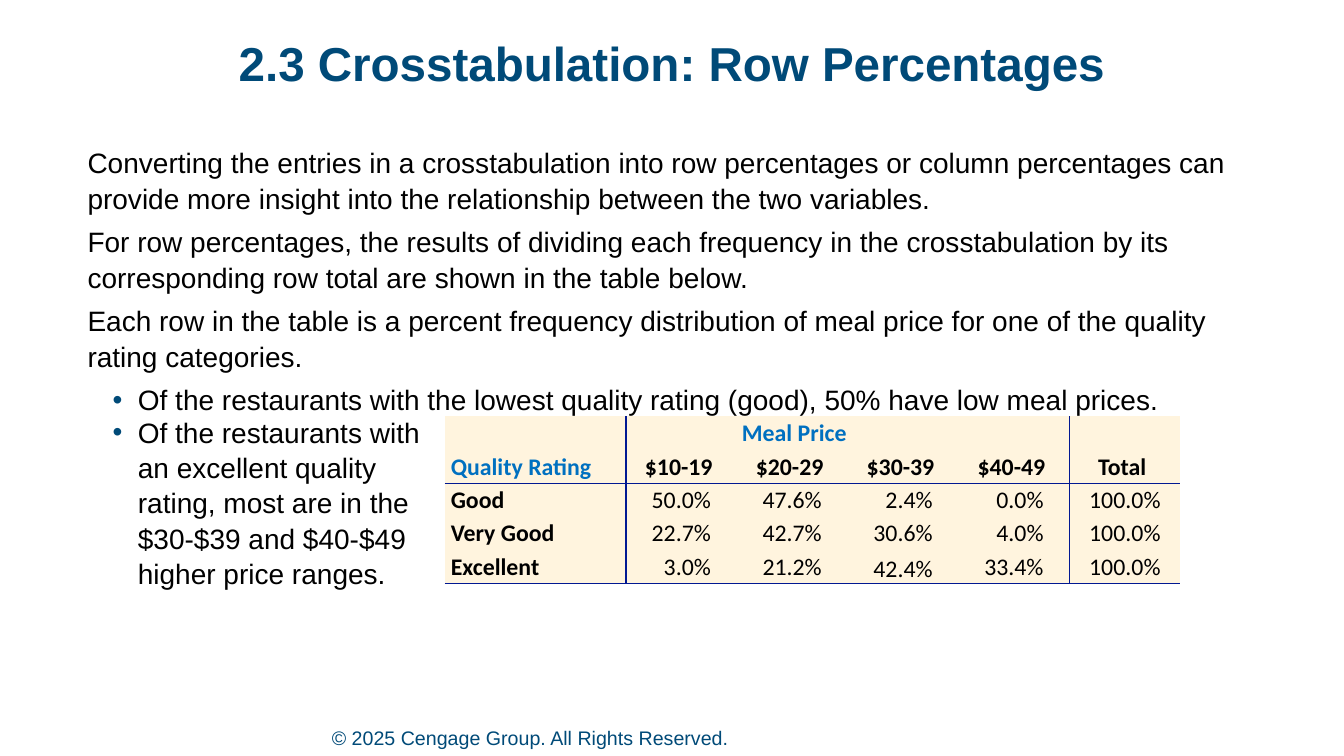
from pptx import Presentation
from pptx.dml.color import RGBColor
from pptx.enum.text import MSO_ANCHOR, MSO_AUTO_SIZE, PP_ALIGN
from pptx.oxml import parse_xml
from pptx.oxml.ns import nsdecls
from pptx.util import Pt

COLORS = {"navy": "004A78", "black": "000000", "blue": "0070C0",
          "cream": "FFF4DE", "rule": "011892"}

INTRODUCTION = [
    "Converting the entries in a crosstabulation into row percentages or column percentages can "
    "provide more insight into the relationship between the two variables.",
    "For row percentages, the results of dividing each frequency in the crosstabulation by its "
    "corresponding row total are shown in the table below.",
    "Each row in the table is a percent frequency distribution of meal price for one of the "
    "quality rating categories.",
]
LOW_PRICES = "Of the restaurants with the lowest quality rating (good), 50% have low meal prices."
HIGH_PRICES = ("Of the restaurants with an excellent quality rating, most are in the "
               "$30-$39 and $40-$49 higher price ranges.")
CROSSTAB = [
    ["", "", "Meal Price", "", "", ""],
    ["Quality Rating", "$10-19", "$20-29", "$30-39", "$40-49", "Total"],
    ["Good", "50.0%", "47.6%", "2.4%", "0.0%", "100.0%"],
    ["Very Good", "22.7%", "42.7%", "30.6%", "4.0%", "100.0%"],
    ["Excellent", "3.0%", "21.2%", "42.4%", "33.4%", "100.0%"],
]


class SlideBuilder:
    font = "Arial"
    table_font = "Calibri"

    def __init__(self, slide):
        self.slide = slide

    def add_run(self, paragraph, text, size, color, bold=False, font=None):
        run = paragraph.add_run()
        run.text = text
        run.font.name = font or self.font
        run.font.size = Pt(size)
        run.font.bold = bold
        run.font.color.rgb = RGBColor.from_string(COLORS[color])

    def prepare_frame(self, shape, box, anchor=MSO_ANCHOR.TOP):
        shape.left, shape.top, shape.width, shape.height = map(Pt, box)
        frame = shape.text_frame
        frame.word_wrap = True
        frame.auto_size = MSO_AUTO_SIZE.NONE
        frame.vertical_anchor = anchor
        frame.margin_left = frame.margin_top = frame.margin_right = frame.margin_bottom = 0
        return frame

    def title(self, text, box):
        paragraph = self.prepare_frame(self.slide.shapes.title, box).paragraphs[0]
        paragraph.alignment = PP_ALIGN.CENTER
        paragraph.line_spacing = 0.9
        self.add_run(paragraph, text, 34, "navy", bold=True)

    def text_box(self, box, anchor=MSO_ANCHOR.TOP):
        return self.prepare_frame(self.slide.shapes.add_textbox(*map(Pt, box)), box, anchor)

    def footer(self, text, box):
        frame = self.text_box(box, MSO_ANCHOR.BOTTOM)
        frame.margin_bottom = Pt(3.6)
        self.add_run(frame.paragraphs[0], text, 14, "navy")

    def body(self, box, plain=(), bullets=()):
        frame = self.text_box(box)
        for index, text in enumerate([*plain, *bullets]):
            paragraph = frame.add_paragraph() if index else frame.paragraphs[0]
            if index >= len(plain):
                self.add_bullet(paragraph)
            paragraph.space_before = Pt(6 if index else 0)
            paragraph.line_spacing = 1.05
            self.add_run(paragraph, text, 20, "black")

    def add_bullet(self, paragraph):
        properties = paragraph._p.get_or_add_pPr()
        properties.set("marL", str(Pt(36)))
        properties.set("indent", str(Pt(-18)))
        for element in (
            f'<a:buClr {nsdecls("a")}><a:srgbClr val="{COLORS["navy"]}"/></a:buClr>',
            f'<a:buFont {nsdecls("a")} typeface="{self.font}"/>',
            f'<a:buChar {nsdecls("a")} char="•"/>',
        ):
            properties.append(parse_xml(element))

    def set_borders(self, cell, ruled_sides):
        properties = cell._tc.get_or_add_tcPr()
        for side in "LRTB":
            fill = "<a:noFill/>"
            if side in ruled_sides:
                fill = f'<a:solidFill><a:srgbClr val="{COLORS["rule"]}"/></a:solidFill>'
            properties.append(parse_xml(
                f'<a:ln{side} {nsdecls("a")} w="{Pt(1)}">{fill}</a:ln{side}>'))

    def table(self, rows, box, column_widths, row_height):
        table = self.slide.shapes.add_table(
            len(rows), len(column_widths), *map(Pt, box)).table
        for column, width in zip(table.columns, column_widths):
            column.width = Pt(width)
        for row_index, row in enumerate(rows):
            table.rows[row_index].height = Pt(row_height)
            for column_index, text in enumerate(row):
                self.table_cell(table.cell(row_index, column_index), text,
                                row_index, column_index)

    def table_cell(self, cell, text, row, column):
        ruled = {"L": column in (1, 5), "R": column in (0, 4),
                 "T": row == 2, "B": row in (1, 4)}
        self.set_borders(cell, [side for side in ruled if ruled[side]])
        cell.fill.solid()
        cell.fill.fore_color.rgb = RGBColor.from_string(COLORS["cream"])
        cell.vertical_anchor = MSO_ANCHOR.MIDDLE
        cell.margin_left = cell.margin_right = cell.margin_top = Pt(0.7)
        cell.margin_bottom = 0
        paragraph = cell.text_frame.paragraphs[0]
        if column == 0:
            paragraph.alignment = PP_ALIGN.LEFT
            cell.margin_left = Pt(4.5)
        elif row == 0:
            paragraph.alignment = PP_ALIGN.RIGHT
        elif row == 1 or column == 5:
            paragraph.alignment = PP_ALIGN.CENTER
            cell.margin_right = Pt(4.5 if row == 1 else 0.7)
        else:
            paragraph.alignment = PP_ALIGN.RIGHT
            cell.margin_right = Pt(18.5)
        if (row, column) == (4, 3):
            cell.vertical_anchor = MSO_ANCHOR.BOTTOM
        if text:
            color = "blue" if text in ("Meal Price", "Quality Rating") else "black"
            self.add_run(paragraph, text, 17, color, row < 2 or column == 0, self.table_font)
        else:
            paragraph.font.size = Pt(17)


def main():
    presentation = Presentation()
    presentation.slide_width, presentation.slide_height = Pt(960), Pt(540)
    builder = SlideBuilder(presentation.slides.add_slide(presentation.slide_layouts[5]))
    builder.title("2.3 Crosstabulation: Row Percentages", (66, 29, 828, 53))
    builder.footer("© 2025 Cengage Group. All Rights Reserved.", (237, 518, 705, 21))
    builder.body((62.5, 103, 835, 193), INTRODUCTION, [LOW_PRICES])
    builder.body((62.5, 295.5, 261, 143), bullets=[HIGH_PRICES])
    builder.table(CROSSTAB, (317.5, 297.3, 525.6, 119.5), [129.6] + [79.2] * 5, 23.9)
    presentation.save("out.pptx")


if __name__ == "__main__":
    main()
